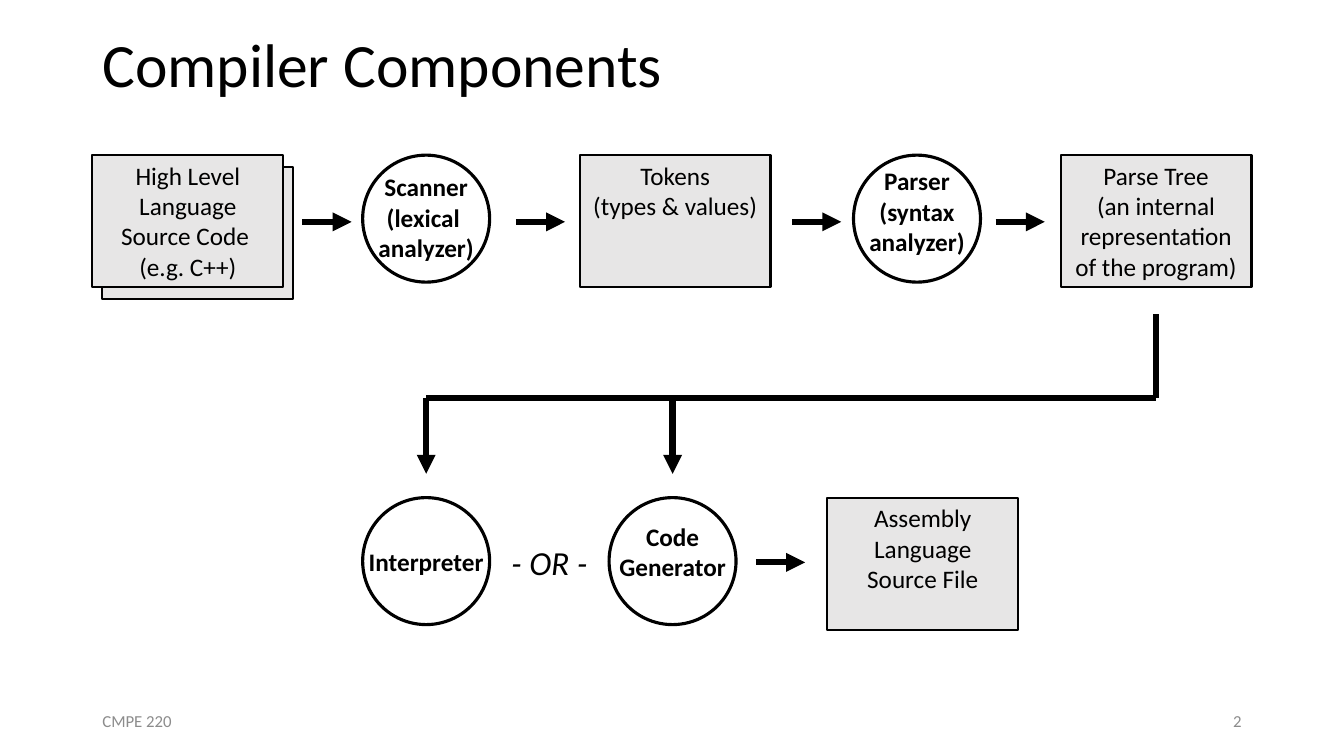
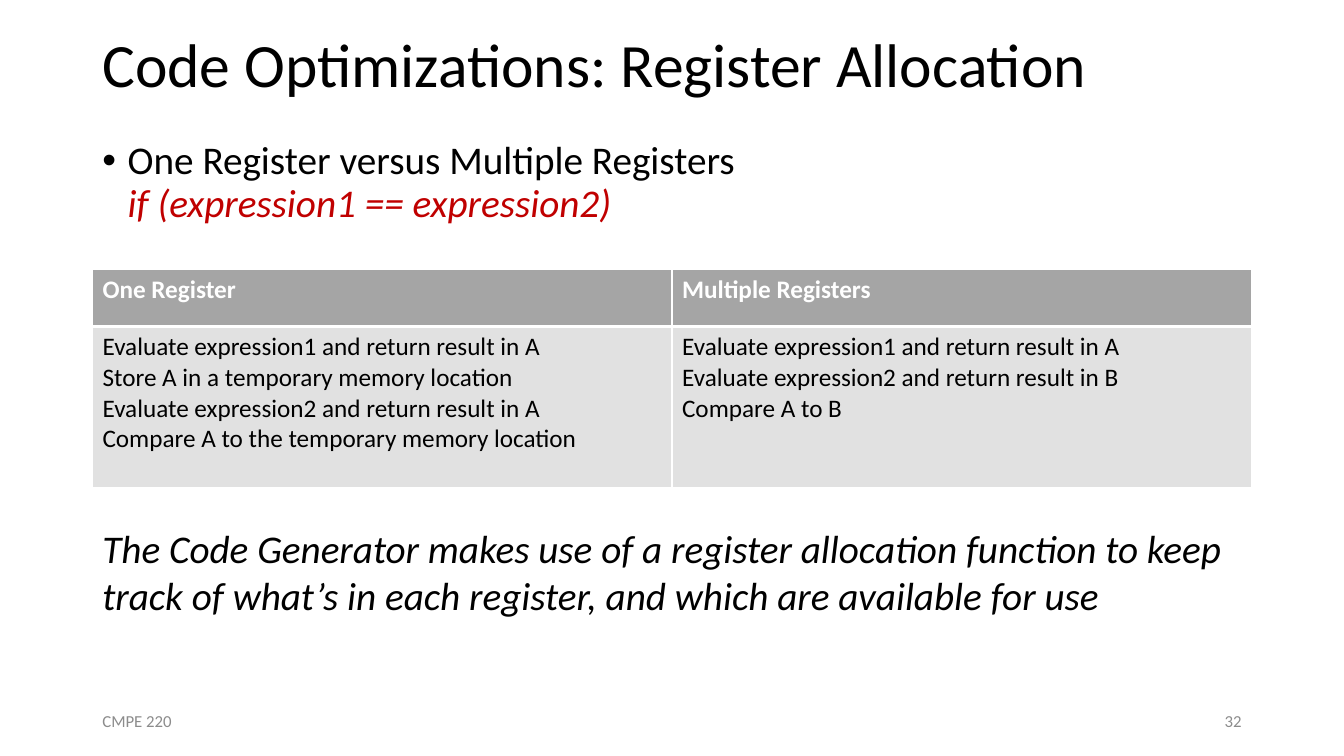
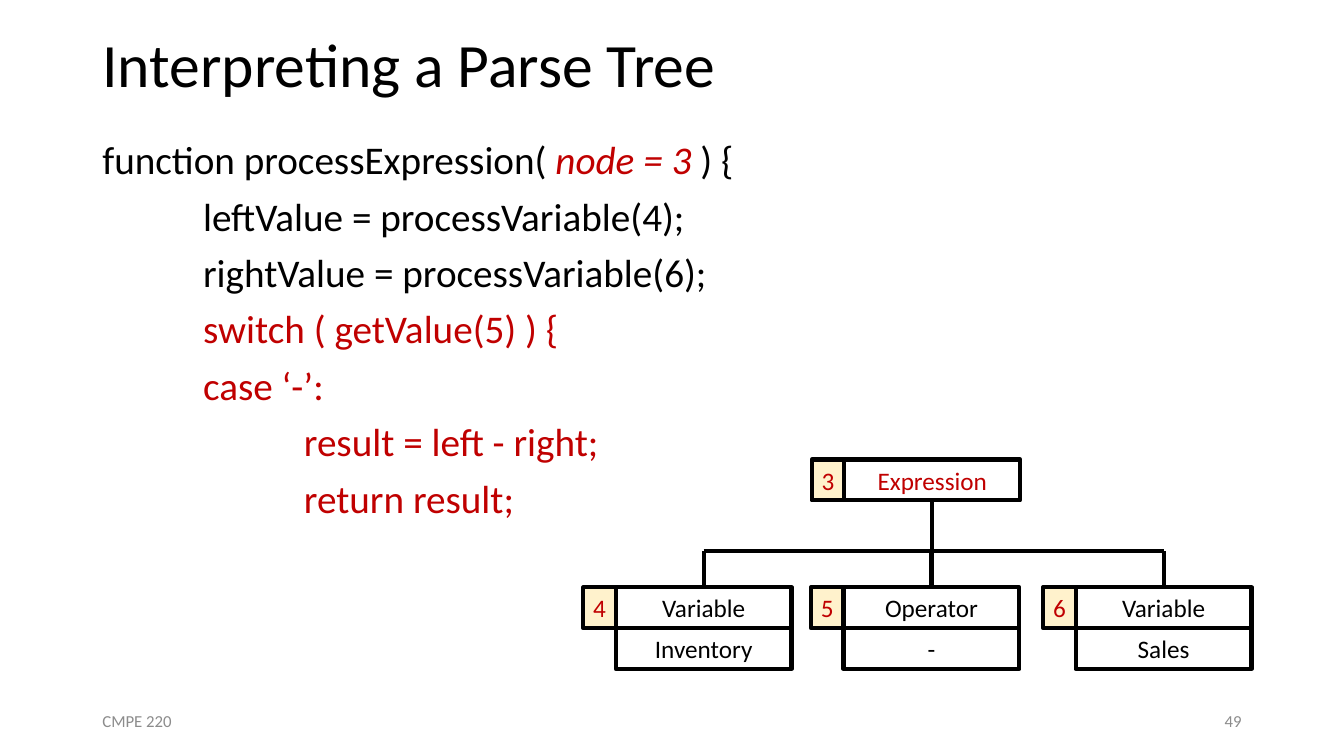
from lxml import etree
from pptx import Presentation
from pptx.dml.color import RGBColor
from pptx.enum.shapes import MSO_CONNECTOR, MSO_SHAPE
from pptx.enum.text import MSO_ANCHOR, PP_ALIGN
from pptx.oxml.ns import qn
from pptx.util import Cm, Pt

LEFT, CENTER, RIGHT = PP_ALIGN.LEFT, PP_ALIGN.CENTER, PP_ALIGN.RIGHT
TOP, MIDDLE = MSO_ANCHOR.TOP, MSO_ANCHOR.MIDDLE
RECTANGLE, OVAL = MSO_SHAPE.RECTANGLE, MSO_SHAPE.OVAL
STRAIGHT = MSO_CONNECTOR.STRAIGHT

COLORS = {
    "text": "000000", "accent": "C00000", "footer": "8C8C8C", "white": "FFFFFF",
    "data": "E7E6E6", "badge": "FFF2CC", "header": "A5A5A5", "cell": "E1E1E1",
}
FONT = "Calibri"
SLIDE_WIDTH, SLIDE_HEIGHT = 33.87, 19.05
MARGIN, CONTENT_WIDTH = 2.33, 29.21
TITLE_BOX = (MARGIN, 0, CONTENT_WIDTH, 3.43)
FOOTER_TOP, FOOTER_WIDTH, FOOTER_HEIGHT = 17.65, 7.62, 1.03
COURSE = "CMPE 220"
TIGHT = {"margin_left": 0, "margin_right": 0, "margin_top": 0, "margin_bottom": 0}
BODY_PARAGRAPH = {"line_spacing": 0.9}


def color(name):
    """Return the named colour."""
    return RGBColor.from_string(COLORS[name])


def apply(target, values):
    """Set each attribute named in values."""
    for name, value in values.items():
        setattr(target, name, value)


def write_run(paragraph, text, size=18, tint="text", **font_values):
    """Add text to a paragraph, with a line break at each newline."""
    for number, line in enumerate(text.split("\n")):
        if number:
            paragraph.add_line_break()
        run = paragraph.add_run()
        run.text = line
        apply(run.font, {"name": FONT, "size": Pt(size), **font_values})
        run.font.color.rgb = color(tint)


def write(frame, text, align=LEFT, anchor=TOP, frame_values=None, paragraph_values=None, **font_values):
    """Fill a text frame with one paragraph."""
    apply(frame, {"word_wrap": True, "vertical_anchor": anchor, **(frame_values or {})})
    paragraph = frame.paragraphs[0]
    apply(paragraph, {"alignment": align, **(paragraph_values or {})})
    write_run(paragraph, text, **font_values)
    return paragraph


def add_text(slide, box, text, **values):
    """Add a text box and return its frame."""
    frame = slide.shapes.add_textbox(*map(Cm, box)).text_frame
    write(frame, text, **values)
    return frame


def add_outline(slide, kind, box, weight, fill=None):
    """Add an outlined shape with an optional fill."""
    shape = slide.shapes.add_shape(kind, *map(Cm, box))
    shape.shadow.inherit = False
    if fill:
        shape.fill.solid()
        shape.fill.fore_color.rgb = color(fill)
    else:
        shape.fill.background()
    shape.line.color.rgb = color("text")
    shape.line.width = Pt(weight)
    return shape


def add_line(slide, start, end, weight, arrow=False):
    """Draw a straight line, with an arrowhead if asked."""
    connector = slide.shapes.add_connector(STRAIGHT, *map(Cm, (*start, *end)))
    connector.line.color.rgb = color("text")
    connector.line.width = Pt(weight)
    properties = connector._element.spPr
    if arrow:
        etree.SubElement(properties.find(qn("a:ln")), qn("a:tailEnd"), type="triangle")
    etree.SubElement(properties, qn("a:effectLst"))


def indent(paragraph, left, first=0, bullet=None):
    """Set the indents of a paragraph and its bullet."""
    properties = paragraph._p.get_or_add_pPr()
    properties.set("marL", str(Cm(left)))
    properties.set("indent", str(Cm(first)))
    if bullet:
        etree.SubElement(properties, qn("a:buFont"), typeface="Arial")
        etree.SubElement(properties, qn("a:buChar"), char=bullet)


def start_slide(presentation, title, number):
    """Add a slide with its title and footer."""
    slide = presentation.slides.add_slide(presentation.slide_layouts[6])
    add_text(slide, TITLE_BOX, title, anchor=MIDDLE, size=44, paragraph_values=BODY_PARAGRAPH)
    right = MARGIN + CONTENT_WIDTH - FOOTER_WIDTH
    for left, text, align in ((MARGIN, COURSE, LEFT), (right, str(number), RIGHT)):
        box = (left, FOOTER_TOP, FOOTER_WIDTH, FOOTER_HEIGHT)
        add_text(slide, box, text, align=align, anchor=MIDDLE, size=12, tint="footer")
    return slide


def add_pipeline(slide, box):
    """Draw the compiler stages, from source code to assembly."""
    left, top, width, _ = box
    data_width, data_height, diameter, arrow_length = 4.81, 3.33, 3.2, 1.24
    lower = 8.63
    tree_left = width - data_width
    sheet = (left + 0.25, top + 0.3, data_width, data_height)
    add_outline(slide, RECTANGLE, sheet, 1.5, "data")

    data = (
        (0, 0, "High Level Language Source Code \n(e.g. C++)"),
        (12.28, 0, "Tokens\n(types & values)"),
        (tree_left, 0, "Parse Tree\n(an internal representation of the program)"),
        (18.52, lower, "Assembly Language Source File"),
    )
    for x, y, text in data:
        shape = add_outline(slide, RECTANGLE, (left + x, top + y, data_width, data_height), 1.5, "data")
        write(shape.text_frame, text, align=CENTER)

    interpreter, generator = 6.81, 13.02
    stages = (
        (interpreter, 0, 0.04, "Scanner\n(lexical \nanalyzer)"),
        (19.18, 0, 0.19, "Parser\n(syntax\nanalyzer)"),
        (interpreter, lower, 0, "Interpreter"),
        (generator, lower, 0.24, "Code\nGenerator"),
    )
    for x, y, lift, text in stages:
        circle = (left + x, top + y, diameter, diameter)
        add_outline(slide, OVAL, circle, 2.25)
        label = (left + x, top + y - lift, diameter, diameter)
        add_text(slide, label, text, align=CENTER, anchor=MIDDLE, frame_values=TIGHT, bold=True)

    for x, y in ((5.29, 1.68), (10.67, 1.68), (17.63, 1.68), (22.76, 1.68), (16.72, 10.26)):
        start = (left + x, top + y)
        add_line(slide, start, (start[0] + arrow_length, start[1]), 4.5, arrow=True)

    bus, stem = top + 6.12, left + tree_left + data_width / 2
    drops = [left + x + diameter / 2 for x in (interpreter, generator)]
    add_line(slide, (drops[0], bus), (stem, bus), 4.5)
    add_line(slide, (stem, top + 4.01), (stem, bus), 4.5)
    for x in drops:
        add_line(slide, (x, bus), (x, bus + 1.91), 4.5, arrow=True)

    gap_left = left + interpreter + diameter
    gap = (gap_left, top + 9.62, generator - interpreter - diameter, 1.27)
    add_text(slide, gap, "- OR -", align=CENTER, anchor=MIDDLE, frame_values=TIGHT, size=24, italic=True)


def set_borders(cell, weights):
    """Give a cell white borders of the given weights."""
    properties = cell._tc.get_or_add_tcPr()
    for position, (side, weight) in enumerate(weights.items()):
        line = etree.Element(qn(f"a:ln{side}"), w=str(Pt(weight)))
        fill = etree.SubElement(line, qn("a:solidFill"))
        etree.SubElement(fill, qn("a:srgbClr"), val=COLORS["white"])
        properties.insert(position, line)


def add_comparison(slide, box, columns):
    """Add a table with one heading and its steps per column."""
    left, top, width, height = box
    header_height = 1.45
    table = slide.shapes.add_table(2, len(columns), *map(Cm, box)).table
    table.rows[0].height = Cm(header_height)
    table.rows[1].height = Cm(height - header_height)
    for number, (heading, steps) in enumerate(columns.items()):
        table.columns[number].width = Cm(width / len(columns))
        header, body = table.cell(0, number), table.cell(1, number)
        write_run(header.text_frame.paragraphs[0], heading, tint="white", bold=True)
        frame = body.text_frame
        for index, step in enumerate(steps):
            paragraph = frame.add_paragraph() if index else frame.paragraphs[0]
            write_run(paragraph, step, bold=False)
        for cell, fill, above, below in ((header, "header", 1, 3), (body, "cell", 3, 1)):
            cell.fill.solid()
            cell.fill.fore_color.rgb = color(fill)
            set_borders(cell, {"L": 1, "R": 1, "T": above, "B": below})


def add_code(slide, box, lines):
    """Write code lines, each with its indent level and coloured runs."""
    frame = slide.shapes.add_textbox(*map(Cm, box)).text_frame
    frame.word_wrap = True
    for number, (level, runs) in enumerate(lines):
        paragraph = frame.add_paragraph() if number else frame.paragraphs[0]
        apply(paragraph, BODY_PARAGRAPH)
        if number:
            paragraph.space_before = Pt(10)
        indent(paragraph, 2.54 * level)
        for text, tint, italic in runs:
            write_run(paragraph, text, size=28, tint=tint, italic=italic)


def add_node(slide, left, top, number, labels, tint="text"):
    """Draw a numbered tree node with its stacked labels and return its centre."""
    width, height, badge_width = 4.43, 1.03, 0.82
    cells = [(left + badge_width, top + row * height, width, None, label, tint)
             for row, label in enumerate(labels)]
    cells.append((left, top, badge_width, "badge", number, "accent"))
    for x, y, cell_width, fill, text, text_tint in cells:
        shape = add_outline(slide, RECTANGLE, (x, y, cell_width, height), 3, fill)
        write(shape.text_frame, text, align=CENTER, anchor=MIDDLE, frame_values=TIGHT, tint=text_tint)
    return left + badge_width + width / 2


def add_parse_tree(slide, box):
    """Draw an expression node above its three children."""
    left, top, _, _ = box
    bus, child_top = top + 2.31, top + 3.22
    stem = add_node(slide, left + 5.76, top, "3", ["Expression"], "accent")
    children = (
        (0, "4", ["Variable", "Inventory"]),
        (5.74, "5", ["Operator", "-"]),
        (11.59, "6", ["Variable", "Sales"]),
    )
    centres = [add_node(slide, left + x, child_top, number, labels) for x, number, labels in children]
    add_line(slide, (stem, top + 1.03), (stem, bus), 3)
    add_line(slide, (centres[0], bus), (centres[-1], bus), 3)
    for centre in centres:
        add_line(slide, (centre, bus), (centre, child_top), 3)


def build_components(presentation):
    """Build the compiler components slide."""
    slide = start_slide(presentation, "Compiler Components", 2)
    add_pipeline(slide, (MARGIN, 3.91, CONTENT_WIDTH, 12))


def build_registers(presentation):
    """Build the register allocation slide."""
    slide = start_slide(presentation, "Code Optimizations: Register Allocation", 32)
    frame = add_text(slide, (MARGIN, 3.43, CONTENT_WIDTH, 2.87), "One Register versus Multiple Registers\n",
                     size=28, paragraph_values=BODY_PARAGRAPH)
    paragraph = frame.paragraphs[0]
    indent(paragraph, 0.64, -0.64, "•")
    write_run(paragraph, "if (expression1 == expression2)", size=28, tint="accent", italic=True)
    add_comparison(slide, (MARGIN, 6.78, CONTENT_WIDTH, 5.52), {
        "One Register": (
            "Evaluate expression1 and return result in A",
            "Store A in a temporary memory location",
            "Evaluate expression2 and return result in A",
            "Compare A to the temporary memory location",
        ),
        "Multiple Registers": (
            "Evaluate expression1 and return result in A",
            "Evaluate expression2 and return result in B",
            "Compare A to B",
        ),
    })
    add_text(slide, (MARGIN, 13.08, 28.96, 2.65),
             "The Code Generator makes use of a register allocation function to keep "
             "track of what’s in each register, and which are available for use",
             size=28, italic=True)


def build_interpreter(presentation):
    """Build the parse tree interpretation slide."""
    slide = start_slide(presentation, "Interpreting a Parse Tree", 49)
    add_code(slide, (MARGIN, 3.43, CONTENT_WIDTH, 13.41), (
        (0, (("function processExpression( ", "text", False),
             ("node = 3 ", "accent", True), (") {", "text", False))),
        (1, (("leftValue = processVariable(4);", "text", False),)),
        (1, (("rightValue = processVariable(6);", "text", False),)),
        (1, (("switch ( getValue(5) ) {", "accent", False),)),
        (1, (("case ‘-’:", "accent", False),)),
        (2, (("result = left - right;", "accent", False),)),
        (2, (("return result;", "accent", False),)),
    ))
    add_parse_tree(slide, (14.7, 11.58, 16.84, 5.28))


def main():
    """Build and save the presentation."""
    presentation = Presentation()
    apply(presentation, {"slide_width": Cm(SLIDE_WIDTH), "slide_height": Cm(SLIDE_HEIGHT)})
    for build in (build_components, build_registers, build_interpreter):
        build(presentation)
    presentation.save("out.pptx")


if __name__ == "__main__":
    main()
